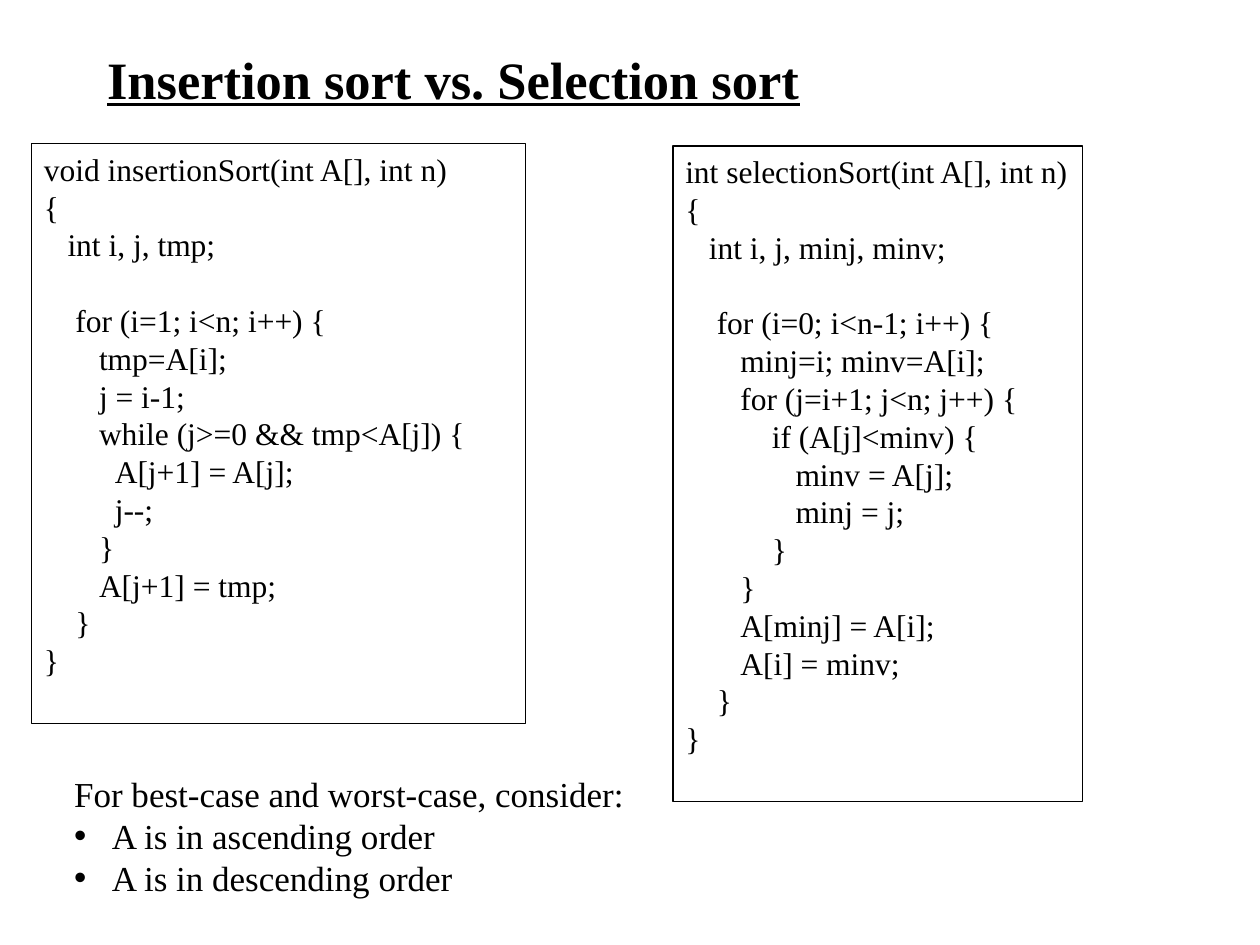
from pptx import Presentation
from pptx.dml.color import RGBColor
from pptx.enum.shapes import MSO_SHAPE as SHAPE
from pptx.enum.text import MSO_ANCHOR as ANCHOR, MSO_AUTO_SIZE as FIT, PP_ALIGN as ALIGN
from pptx.oxml import parse_xml
from pptx.oxml.ns import nsdecls
from pptx.util import Inches, Pt

BLACK = RGBColor(0, 0, 0)
FACE = "Times New Roman"
SPACE = 0.0625  # width of one code column, in inches
LEAD = 1.2      # line height per point of text

INSERT = """void insertionSort(int A[], int n)
{
   int i, j, tmp;

    for (i=1; i<n; i++) {
       tmp=A[i];
       j = i-1;
       while (j>=0 && tmp<A[j]) {
         A[j+1] = A[j];
         j--;
       }
       A[j+1] = tmp;
    }
}"""

SELECT = """int selectionSort(int A[], int n)
{
   int i, j, minj, minv;

    for (i=0; i<n-1; i++) {
       minj=i; minv=A[i];
       for (j=i+1; j<n; j++) {
           if (A[j]<minv) {
              minv = A[j];
              minj = j;
           }
       }
       A[minj] = A[i];
       A[i] = minv;
    }
}"""


def place(shape, box):
    for name, val in zip(("left", "top", "width", "height"), box):
        setattr(shape, name, Inches(val))


def set_frame(frame, anchor=ANCHOR.TOP):
    form = {"word_wrap": True, "auto_size": FIT.NONE, "vertical_anchor": anchor,
            "margin_left": Inches(0.1), "margin_right": 0,
            "margin_top": Inches(0.05), "margin_bottom": Inches(0.05)}
    for name, val in form.items():
        setattr(frame, name, val)


def write(para, text, size, **more):
    run = para.add_run()
    run.text = text
    para.alignment = ALIGN.LEFT
    form = {"name": FACE, "size": Pt(size), **more}
    for name, val in form.items():
        setattr(run.font, name, val)
    run.font.color.rgb = BLACK


def add_lines(frame, lines, size):
    """Yield each new paragraph with its line, for further format."""
    for i, line in enumerate(lines):
        para = frame.add_paragraph() if i else frame.paragraphs[0]
        write(para, line.strip(), size)
        para.line_spacing = Pt(size * LEAD)
        yield para, line


def add_title(slide, box):
    title = slide.shapes.title
    place(title, box)
    set_frame(title.text_frame, ANCHOR.MIDDLE)
    write(title.text_frame.paragraphs[0], "Insertion sort vs. Selection sort",
          30, bold=True, underline=True)


def add_code(slide, box, code, size=18):
    panel = slide.shapes.add_shape(SHAPE.RECTANGLE, *map(Inches, box))
    panel.shadow.inherit = False
    panel.fill.background()
    panel.line.color.rgb = BLACK
    panel.line.width = Pt(0.75)
    set_frame(panel.text_frame)
    rows = code.split("\n")
    lines = [row for row in rows if row]
    after = {rows[i + 1] for i, row in enumerate(rows) if not row}
    for para, line in add_lines(panel.text_frame, lines, size):
        depth = len(line) - len(line.lstrip())
        para._p.get_or_add_pPr().set("marL", str(Inches(depth * SPACE)))
        if line in after:
            para.space_before = Pt(size * LEAD)


def add_notes(slide, box, head, items, size=20):
    area = slide.shapes.add_textbox(*map(Inches, box))
    set_frame(area.text_frame)
    for para, line in add_lines(area.text_frame, [head, *items], size):
        if line != head:
            props = para._p.get_or_add_pPr()
            props.set("marL", str(Inches(0.3)))
            props.set("indent", str(-Inches(0.3)))
            for tag in ('buFont typeface="Arial"', 'buChar char="•"'):
                name, attr = tag.split(" ", 1)
                props.append(parse_xml(f"<a:{name} {nsdecls('a')} {attr}/>"))


deck = Presentation()
deck.slide_width, deck.slide_height = Inches(10), Inches(7.5)
slide = deck.slides.add_slide(deck.slide_layouts[5])

add_title(slide, (0.75, 0.33, 6.75, 0.58))
add_code(slide, (0.25, 1.14, 3.92, 4.6), INSERT)
add_code(slide, (5.34, 1.16, 3.25, 5.2), SELECT)
add_notes(slide, (0.49, 6.08, 4.56, 1.1), "For best-case and worst-case, consider:",
          ["A is in ascending order", "A is in descending order"])

deck.save("out.pptx")
